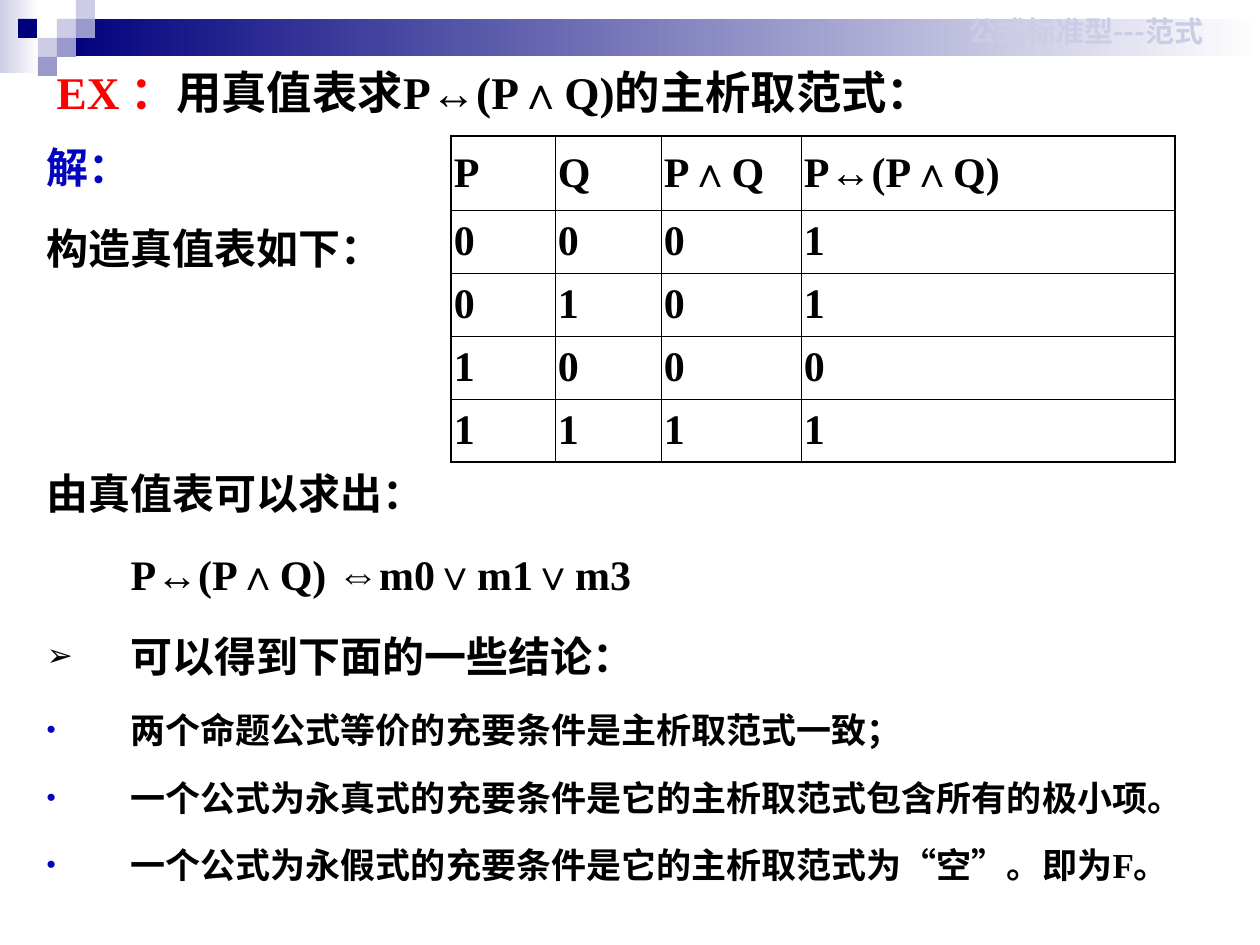
from lxml.etree import SubElement
from pptx import Presentation
from pptx.dml.color import RGBColor
from pptx.enum.shapes import MSO_SHAPE
from pptx.enum.text import MSO_ANCHOR, MSO_AUTO_SIZE, PP_ALIGN
from pptx.oxml.ns import qn
from pptx.util import Emu, Pt

PX = 914400 / 126
NAVY = RGBColor(0x00, 0x00, 0x7D)
LAVENDER = RGBColor(0xCC, 0xCC, 0xE6)
PERIWINKLE = RGBColor(0x99, 0x99, 0xCC)
WHITE = RGBColor(0xFF, 0xFF, 0xFF)
BLACK = RGBColor(0x00, 0x00, 0x00)
BLUE = RGBColor(0x04, 0x04, 0xC0)
RED = RGBColor(0xFF, 0x00, 0x00)
LATIN_FONT = "Times New Roman"
CHINESE_FONT = "Noto Sans CJK SC"
FORMULA = "P↔(P∧Q)"


def px(*lengths):
    return [Emu(round(length * PX)) for length in lengths]


def write(para, text, size, color=BLACK, latin=LATIN_FONT):
    pieces = text.replace("↔", "|↔|").replace("⇔", "|⇔|").split("|")
    for piece in pieces:
        span = para.add_run()
        span.text = piece
        span.font.size = Pt(size)
        span.font.bold = True
        span.font.color.rgb = color
        span.font.name = "Arial" if piece in ("↔", "⇔") else latin
        SubElement(span.font._element, qn("a:ea"), typeface=CHINESE_FONT)


deck = Presentation()
deck.slide_width, deck.slide_height = px(1260, 945)
page = deck.slides.add_slide(deck.slide_layouts[1])
title, body = page.shapes.title, page.placeholders[1]

ornaments = [
    (0, 0, 39, 73, (LAVENDER, WHITE)),
    (57, 19, 1203, 37, (NAVY, WHITE)),
    (57, 19, 19, 19, (LAVENDER,)),
    (76, 0, 19, 19, (LAVENDER,)),
    (76, 19, 19, 19, (PERIWINKLE,)),
    (38, 38, 19, 19, (LAVENDER,)),
    (18, 19, 19, 19, (NAVY,)),
    (57, 38, 19, 19, (PERIWINKLE,)),
    (38, 57, 19, 19, (PERIWINKLE,)),
]
for left, top, width, height, colors in ornaments:
    block = page.shapes.add_shape(MSO_SHAPE.RECTANGLE, *px(left, top, width, height))
    block.shadow.inherit = False
    block.line.fill.background()
    if len(colors) == 1:
        block.fill.solid()
        block.fill.fore_color.rgb = colors[0]
    else:
        block.fill.gradient()
        block.fill.gradient_angle = 0
        for stop, color, position in zip(block.fill.gradient_stops, colors, (0, 1)):
            stop.color.rgb = color
            stop.position = position

page.shapes._spTree.append(body._element)
body.left, body.top, body.width, body.height = px(34, 125, 1201, 820)
body.text_frame.auto_size = MSO_AUTO_SIZE.NONE
body.text_frame.vertical_anchor = MSO_ANCHOR.TOP
body_lines = [
    ("解：", 24, BLUE, 0, 6, None, None),
    ("构造真值表如下：", 24, BLACK, 6, 6, None, None),
    ("由真值表可以求出：", 24, BLACK, 99, 6, None, None),
    (FORMULA + " ⇔m0∨m1∨m3", 24, BLACK, 6, 6, None, None),
    ("可以得到下面的一些结论：", 24, BLACK, 6, 6, "➢", BLACK),
    ("两个命题公式等价的充要条件是主析取范式一致；", 20, BLACK, 5, 5, "•", BLUE),
    ("一个公式为永真式的充要条件是它的主析取范式包含所有的极小项。", 20, BLACK, 5, 5, "•", BLUE),
    ("一个公式为永假式的充要条件是它的主析取范式为“空”。即为F。", 20, BLACK, 5, 5, "•", BLUE),
]
hang = px(84)[0]
for index, (text, size, color, before, after, bullet, bullet_color) in enumerate(body_lines):
    para = body.text_frame.paragraphs[0] if index == 0 else body.text_frame.add_paragraph()
    properties = para._p.get_or_add_pPr()
    properties.set("marL", str(hang))
    properties.set("indent", "0" if text.startswith(FORMULA) else str(-hang))
    if bullet:
        bullet_fill = SubElement(properties, qn("a:buClr"))
        SubElement(bullet_fill, qn("a:srgbClr"), val=str(bullet_color))
        SubElement(properties, qn("a:buSzPct"), val="75000")
        SubElement(properties, qn("a:buFont"), typeface="Arial")
        SubElement(properties, qn("a:buChar"), char=bullet)
    else:
        SubElement(properties, qn("a:buNone"))
    para.line_spacing = 1.2
    para.space_before = Pt(before)
    para.space_after = Pt(after)
    write(para, text, size, color)

truth_rows = [
    ("P", "Q", "P∧Q", FORMULA),
    ("0", "0", "0", "1"),
    ("0", "1", "0", "1"),
    ("1", "0", "0", "0"),
    ("1", "1", "1", "1"),
]
column_widths = px(104, 106, 140, 374)
row_heights = px(74, 63, 63, 63, 63)
frame = page.shapes.add_table(5, 4, *px(451, 136, 724, 326))
table = frame.table
table.first_row = False
table.horz_banding = False
for column, width in zip(table.columns, column_widths):
    column.width = width
for row, height in zip(table.rows, row_heights):
    row.height = height
for row_index, values in enumerate(truth_rows):
    for column_index, value in enumerate(values):
        cell = table.cell(row_index, column_index)
        cell.vertical_anchor = MSO_ANCHOR.MIDDLE
        cell.margin_left, cell.margin_right, cell.margin_top, cell.margin_bottom = px(3, 3, 6, 6)
        outer_edges = {
            "a:lnL": column_index == 0,
            "a:lnR": column_index == 3,
            "a:lnT": row_index == 0,
            "a:lnB": row_index == 4,
        }
        for edge, is_outer in outer_edges.items():
            width = Pt(1.08 if is_outer else 0.45)
            border = SubElement(cell._tc.get_or_add_tcPr(), qn(edge), w=str(width))
            border_fill = SubElement(border, qn("a:solidFill"))
            SubElement(border_fill, qn("a:srgbClr"), val=str(BLACK))
        cell.fill.background()
        write(cell.text_frame.paragraphs[0], value, 24)

topic = page.shapes.add_textbox(*px(956, 0, 304, 55))
topic.text_frame.word_wrap = True
topic.text_frame.vertical_anchor = MSO_ANCHOR.BOTTOM
para = topic.text_frame.paragraphs[0]
para.line_spacing = 0.9
write(para, "公式标准型---范式", 16.6, LAVENDER, CHINESE_FONT)

page.shapes._spTree.append(title._element)
title.left, title.top, title.width, title.height = px(44, 55, 1081, 71)
title.text_frame.auto_size = MSO_AUTO_SIZE.NONE
title.text_frame.vertical_anchor = MSO_ANCHOR.BOTTOM
para = title.text_frame.paragraphs[0]
para.alignment = PP_ALIGN.LEFT
para.line_spacing = 0.9
write(para, "EX ：", 25.9, RED)
write(para, "用真值表求" + FORMULA + "的主析取范式：", 25.9)

deck.save("out.pptx")
